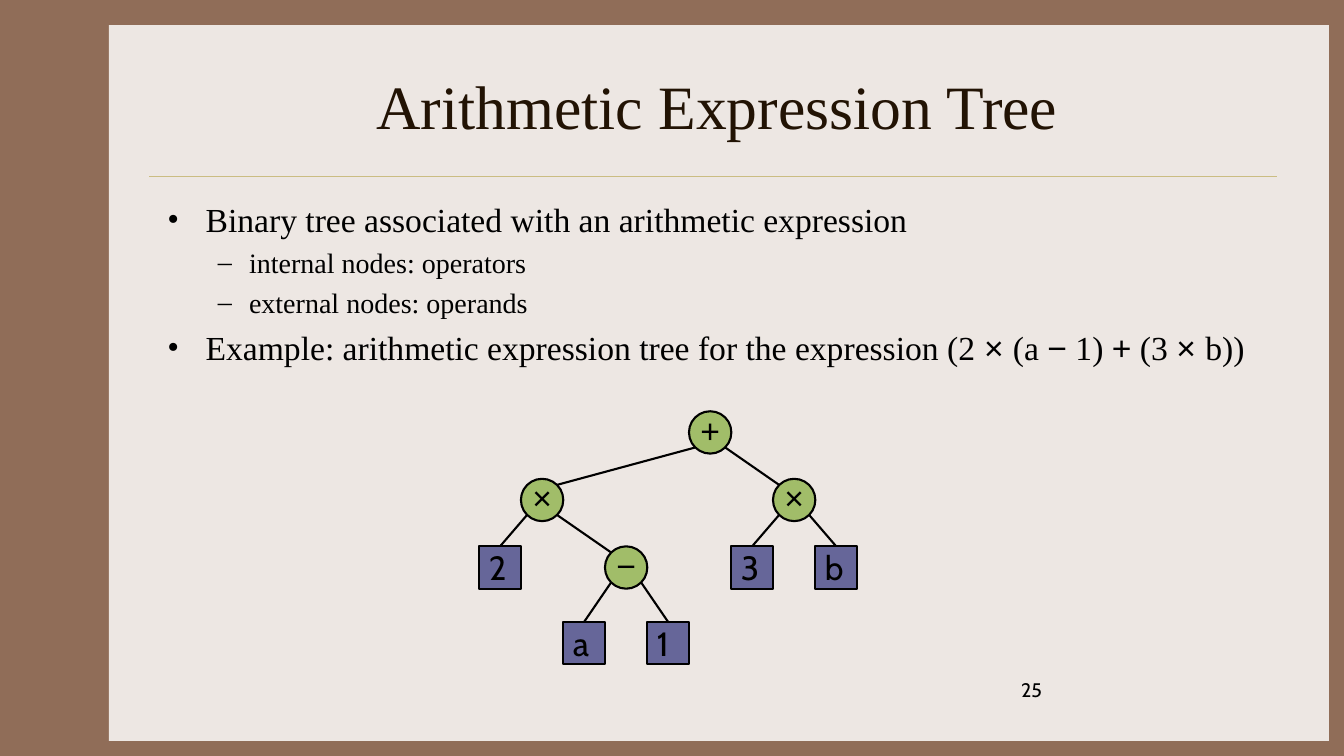
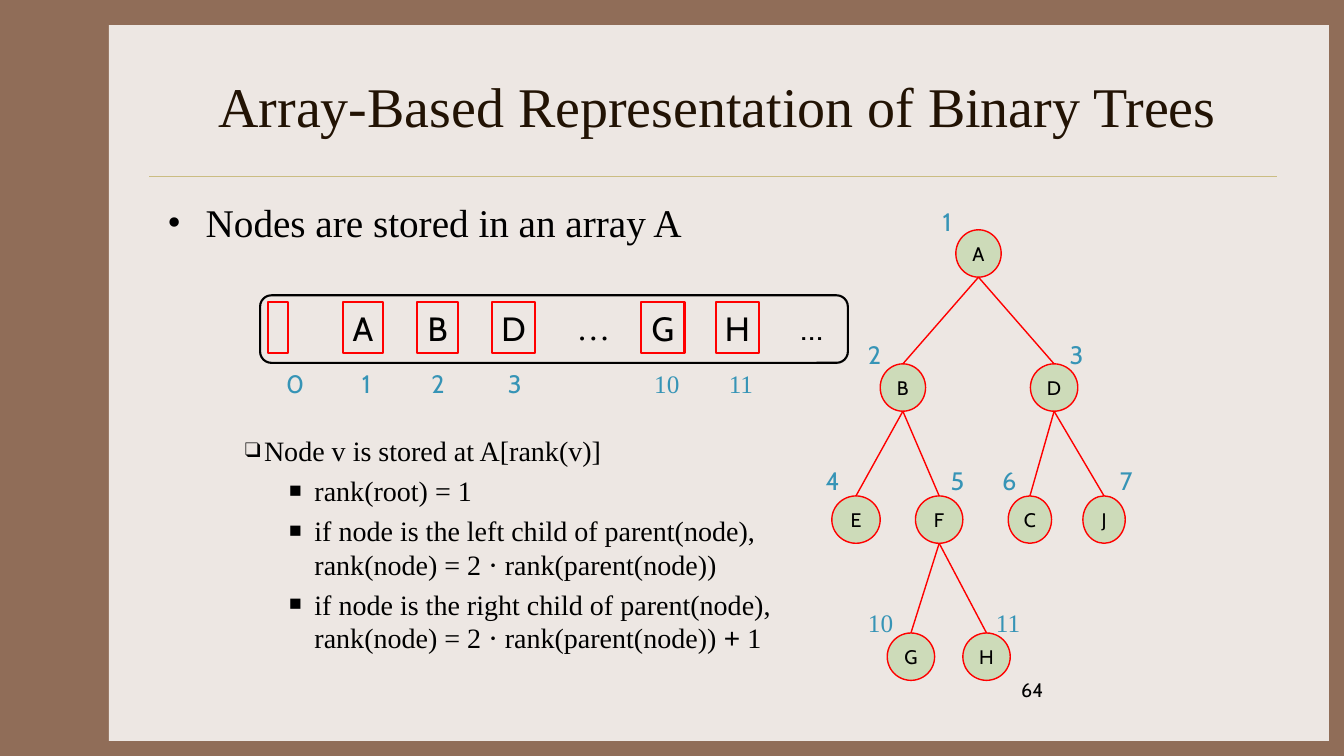
from lxml import etree
from pptx import Presentation
from pptx.dml.color import RGBColor
from pptx.enum.shapes import MSO_CONNECTOR as CONN, MSO_SHAPE as SHAPE
from pptx.enum.text import MSO_ANCHOR as ANCHOR, MSO_AUTO_SIZE as AUTO, PP_ALIGN as ALIGN
from pptx.oxml.ns import qn
from pptx.util import Inches, Pt

BROWN = RGBColor(0x90, 0x6D, 0x58)
CREAM = RGBColor(0xED, 0xE7, 0xE3)
GOLD = RGBColor(0xCB, 0xBD, 0x83)
DARK = RGBColor(0x22, 0x13, 0x04)
BLACK = RGBColor(0, 0, 0)
RED = RGBColor(0xFF, 0, 0)
GREEN = RGBColor(0xA1, 0xBD, 0x69)
PALE_GREEN = RGBColor(0xCD, 0xDB, 0xB9)
PURPLE = RGBColor(0x66, 0x66, 0x99)
BLUE = RGBColor(0x36, 0x94, 0xB6)
TIMES, CABIN, ARIAL = "Times New Roman", "Cabin", "Arial"

TITLE_BOX = (1.56, 0.42, 11.11, 1.25)
BODY_BOX = (1.56, 1.92, 11.11, 4.5)
DOT = ("•", 0.38, -0.38, 0, 100)
DASH = ("–", 0.81, -0.31, 1, 100)
CHECKBOX = ("❑", 0.19, -0.19, 0, 75)
SQUARE = ("■", 0.69, -0.25, 1, 75)


def place(sp, box):
    """Move a shape to a box given in inches."""
    sp.left, sp.top, sp.width, sp.height = map(Inches, box)


def add_run(p, text, size, font, color=BLACK):
    """Add one formatted run to a paragraph."""
    r = p.add_run()
    r.text = text
    r.font.size = Pt(size)
    r.font.name = font
    r.font.color.rgb = color


def add_line(s, start, end, color, width):
    """Draw a straight line without a shadow."""
    ln = s.shapes.add_connector(CONN.STRAIGHT, *map(Inches, (*start, *end)))
    ln.line.color.rgb = color
    ln.line.width = Pt(width)
    etree.SubElement(ln._element.spPr, qn("a:effectLst"))
    return ln


def add_block(s, kind, box, fill=None, line=None, width=1.5):
    """Draw a preset shape with optional fill and outline."""
    sp = s.shapes.add_shape(kind, *map(Inches, box))
    sp.shadow.inherit = False
    if fill is None:
        sp.fill.background()
    else:
        sp.fill.solid()
        sp.fill.fore_color.rgb = fill
    if line is None:
        sp.line.fill.background()
    else:
        sp.line.color.rgb = line
        sp.line.width = Pt(width)
    return sp


def add_caption(sp, text, size, font, align=ALIGN.CENTER):
    """Write one unwrapped line in the middle of a shape."""
    tf = sp.text_frame
    tf.word_wrap = False
    tf.vertical_anchor = ANCHOR.MIDDLE
    p = tf.paragraphs[0]
    p.alignment = align
    add_run(p, text, size, font)


def add_label(s, text, box, size, font, color=BLACK):
    """Add a one-line text box."""
    tf = s.shapes.add_textbox(*map(Inches, box)).text_frame
    tf.word_wrap = False
    add_run(tf.paragraphs[0], text, size, font, color)


def add_rank(s, rank, left, top):
    """Add the blue number of a node or an array cell."""
    font = CABIN if rank < 10 else TIMES
    add_label(s, str(rank), (left, top, 0.34 if rank < 10 else 0.45, 0.4), 18, font, BLUE)


def set_bullet(p, bullet):
    """Give a paragraph its bullet, indents and level."""
    char, margin, indent, level, percent = bullet
    p.level = level
    pPr = p._p.get_or_add_pPr()
    pPr.set("marL", str(Inches(margin)))
    pPr.set("indent", str(Inches(indent)))
    clr = etree.SubElement(pPr, qn("a:buClr"))
    etree.SubElement(clr, qn("a:srgbClr"), val=str(BLACK))
    etree.SubElement(pPr, qn("a:buSzPct"), val=str(percent * 1000))
    etree.SubElement(pPr, qn("a:buFont"), typeface=TIMES)
    etree.SubElement(pPr, qn("a:buChar"), char=char)


def fill_list(tf, items):
    """Write bulleted items, where + − × are set in Arial."""
    tf.word_wrap = True
    tf.auto_size = AUTO.NONE
    for i, (bullet, size, lines) in enumerate(items):
        p = tf.paragraphs[0] if i == 0 else tf.add_paragraph()
        set_bullet(p, bullet)
        p.space_before = Pt(0.23 * size if i else 0)
        for j, runs in enumerate(lines):
            if j:
                p.add_line_break()
            for text in runs:
                add_run(p, text, size, ARIAL if text.strip() in "+−×" else TIMES)


def set_up_layout(layout, s):
    """Put the background, panel and rule on the layout, and place its placeholders."""
    bg = layout.background.fill
    bg.solid()
    bg.fore_color.rgb = BROWN
    panel = add_block(s, SHAPE.RECTANGLE, (1.08, 0.25, 12.1, 7.1), CREAM)
    rule = add_line(s, (1.48, 1.75), (12.67, 1.75), GOLD, 0.25)
    for i, sp in enumerate((panel, rule)):
        layout.shapes._spTree.insert(2 + i, sp._element)
    place(layout.placeholders[0], TITLE_BOX)
    place(layout.placeholders[1], BODY_BOX)


def fill_slide(s, title, size, items, number):
    """Fill the title, the body list and the page number."""
    tf = s.shapes.title.text_frame
    tf.auto_size = AUTO.NONE
    tf.vertical_anchor = ANCHOR.MIDDLE
    p = tf.paragraphs[0]
    p.alignment = ALIGN.CENTER
    add_run(p, title, size, TIMES, DARK)
    fill_list(s.placeholders[1].text_frame, items)
    add_label(s, str(number), (10.03, 6.68, 2.78, 0.5), 14, CABIN)


def draw_expression_tree(s, left, top):
    """Draw the tree with one column per node, in in-order."""
    size, step, inset = 0.42, 5 / 12, 0.06
    rows = (0, 0.67, 1.34, 2.09)
    nodes = (("2", 2, 1), ("×", 1, 5), ("a", 3, 3), ("−", 2, 1), ("1", 3, 3),
             ("+", 0, None), ("3", 2, 7), ("×", 1, 5), ("b", 2, 7))
    spots = [(left + i * step, top + rows[row]) for i, (_, row, _) in enumerate(nodes)]
    for i, (text, _, parent) in enumerate(nodes):
        x, y = spots[i]
        inner = text in "+−×"
        sp = add_block(s, SHAPE.OVAL if inner else SHAPE.RECTANGLE, (x, y, size, size),
                       GREEN if inner else PURPLE, BLACK)
        if inner:
            tf = sp.text_frame
            tf.margin_left = tf.margin_right = tf.margin_top = 0
        add_caption(sp, text, 24, ARIAL if inner else CABIN,
                    ALIGN.CENTER if inner else ALIGN.LEFT)
        if parent is None:
            continue
        px, py = spots[parent]
        near, far = (inset, size - inset) if i < parent else (size - inset, inset)
        end = (x + far, y + inset) if inner else (x + size / 2, y)
        add_line(s, (px + near, py + size - inset), end, BLACK, 1.5)


def draw_ranked_tree(s, left, top):
    """Draw the tree whose ranks give each node its level and parent."""
    height = 0.47
    rows, rank_rows = (0, 1.33, 2.64, 4), (-0.28, 1.04, 2.29, 3.7)
    nodes = {1: ("A", 1.23, 0.45, 1), 2: ("B", 0.48, 0.45, 0.26),
             3: ("D", 1.97, 0.47, 2.26), 4: ("E", 0, 0.48, -0.16),
             5: ("F", 0.83, 0.47, 1.08), 6: ("C", 1.75, 0.43, 1.59),
             7: ("J", 2.49, 0.42, 2.76), 10: ("G", 0.55, 0.47, 0.26),
             11: ("H", 1.3, 0.47, 1.53)}
    tops = {}
    for rank, (text, x, width, rank_x) in nodes.items():
        level = rank.bit_length() - 1
        y, mid = top + rows[level], left + x + width / 2
        tops[rank] = (mid, y)
        sp = add_block(s, SHAPE.OVAL, (left + x, y, width, height), PALE_GREEN, RED, 1)
        add_caption(sp, text, 14, CABIN)
        add_rank(s, rank, left + rank_x, top + rank_rows[level])
        if rank > 1:
            px, py = tops[rank // 2]
            add_line(s, (px, py + height), (mid, y), RED, 1)


def draw_array(s, left, top):
    """Draw the array frame with evenly spaced cells and their ranks."""
    frame = add_block(s, SHAPE.ROUNDED_RECTANGLE, (left, top, 5.83, 0.67), None, BLACK)
    frame.adjustments[0] = 0.167
    cells = (("", 0.2, 0, 0.08), ("A", 0.4, 1, 0.09), ("B", 0.4, 2, 0.04),
             ("D", 0.43, 3, 0.06), ("…", 0.54, None, 0), ("G", 0.43, 10, 0.03),
             ("H", 0.43, 11, 0.03), ("…", 0.48, None, 0))
    for i, (text, width, rank, shift) in enumerate(cells):
        x, y = left + 0.08 + i * 0.74, top + 0.07
        if rank is None:
            add_label(s, text, (x, y, width, 0.5), 24, TIMES if i == 4 else CABIN)
            continue
        sp = add_block(s, SHAPE.RECTANGLE, (x, y, width, 0.5), None, RED)
        if text:
            add_caption(sp, text, 24, CABIN)
        add_rank(s, rank, x + shift, top + 0.67)


def build_expression_slide(s):
    """Build the arithmetic expression slide."""
    fill_slide(s, "Arithmetic Expression Tree", 44, [
        (DOT, 24, [["Binary tree associated with an arithmetic expression"]]),
        (DASH, 20, [["internal nodes: operators"]]),
        (DASH, 20, [["external nodes: operands"]]),
        (DOT, 24, [["Example: arithmetic expression tree for the expression (2 ", "× ",
                    "(a ", "−", " 1) ", "+", " (3 ", "× ", "b))"]]),
    ], 25)
    draw_expression_tree(s, 4.75, 4.08)


def build_array_slide(s):
    """Build the array representation slide."""
    fill_slide(s, "Array-Based Representation of Binary Trees", 40,
               [(DOT, 28, [["Nodes are stored in an array A"]])], 64)
    box = s.shapes.add_textbox(*map(Inches, (2.33, 4.25, 6.58, 2.33)))
    fill_list(box.text_frame, [
        (CHECKBOX, 20, [["Node v is stored at A[rank(v)]"]]),
        (SQUARE, 20, [["rank(root) = 1"]]),
        (SQUARE, 20, [["if node is the left child of parent(node),"],
                      ["rank(node) = 2 ⋅ rank(parent(node))"]]),
        (SQUARE, 20, [["if node is the right child of parent(node),"],
                      ["rank(node) = 2 ⋅ rank(parent(node)) ", "+", " 1"]]),
    ])
    draw_ranked_tree(s, 8.25, 2.28)
    draw_array(s, 2.58, 2.93)


def main():
    """Build and save the presentation."""
    prs = Presentation()
    prs.slide_width, prs.slide_height = Inches(13.33), Inches(7.5)
    layout = prs.slide_layouts[1]
    slides = [prs.slides.add_slide(layout) for _ in range(2)]
    set_up_layout(layout, slides[0])
    build_expression_slide(slides[0])
    build_array_slide(slides[1])
    prs.save("out.pptx")


if __name__ == "__main__":
    main()
